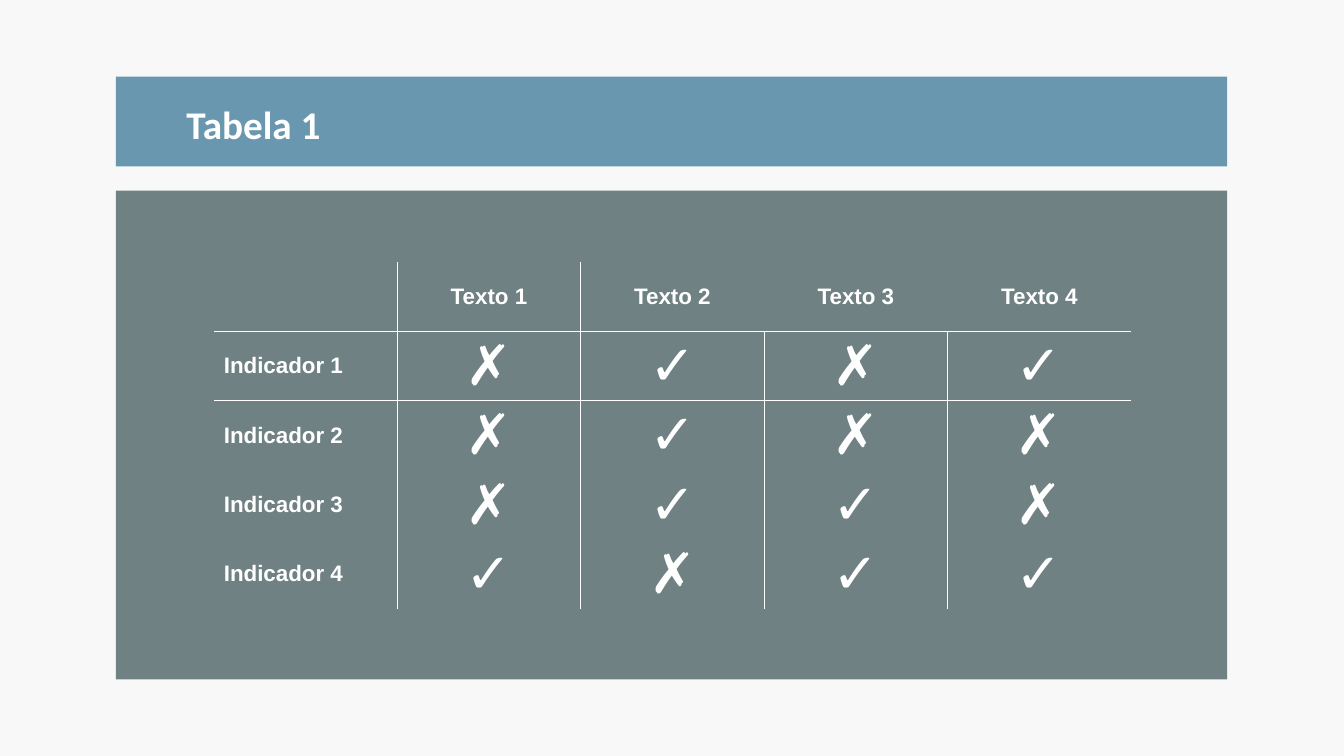
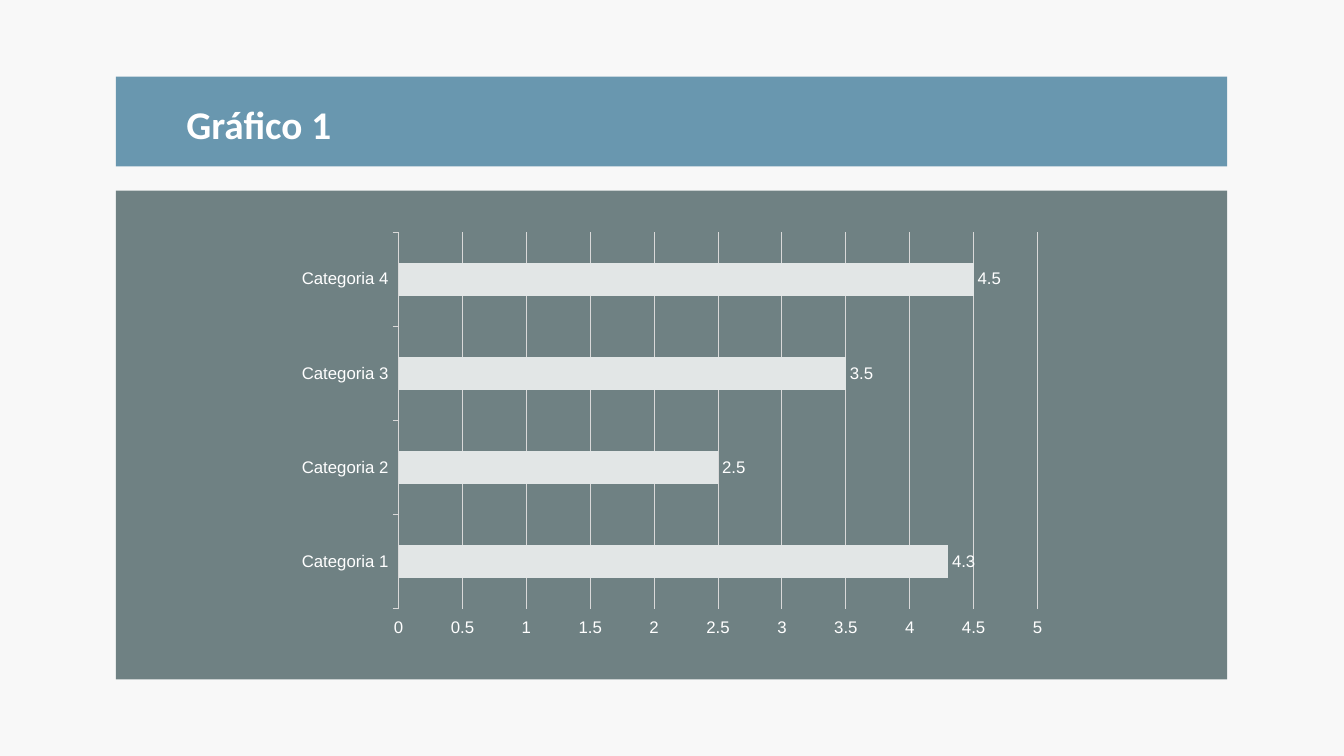
"""Build a two-slide deck with a check table and a bar chart."""
from dataclasses import dataclass

from lxml.etree import SubElement
from pptx import Presentation
from pptx.chart.data import CategoryChartData as ChartData
from pptx.dml.color import RGBColor as RGB
from pptx.enum.chart import XL_CHART_TYPE as Kind, XL_LABEL_POSITION as Spot
from pptx.enum.chart import XL_TICK_MARK as Tick
from pptx.enum.shapes import MSO_SHAPE as Shape
from pptx.enum.text import MSO_ANCHOR as Anchor, PP_ALIGN as Align
from pptx.oxml.ns import qn
from pptx.util import Inches, Pt


@dataclass(frozen=True)
class Theme:
    """Hold the colours, fonts and type sizes of the deck."""
    back: str = "F8F8F8"
    band: str = "6997AF"
    panel: str = "6F8183"
    ink: str = "FFFFFF"
    bar: str = "E2E6E6"
    grid: str = "D9D9D9"
    head: str = "Calibri"
    body: str = "Arial"
    title: int = 28
    cell: int = 16
    mark: int = 40
    axis: int = 12


T = Theme()
MARKS = ["✗✓✗✓", "✗✓✗✗", "✗✓✓✗", "✓✗✓✓"]
SCORES = [4.3, 2.5, 3.5, 4.5]
PLAIN = "{2D5ABB26-0587-4C30-8999-92F81FD0307C}"


def style(font, size, face=T.body, bold=False):
    """Set the face, size, weight and white colour of a font."""
    font.name, font.size, font.bold = face, Pt(size), bold
    font.color.rgb = RGB.from_string(T.ink)


def write(frame, text, align=Align.LEFT, **look):
    """Write one formatted line into a text frame."""
    line = frame.paragraphs[0]
    line.alignment = align
    run = line.add_run()
    run.text = text
    style(run.font, **look)


def paint(fill, tone):
    """Give a fill one solid colour."""
    fill.solid()
    fill.fore_color.rgb = RGB.from_string(tone)


def block(slide, top, high, tone):
    """Add a plain full-width rectangle."""
    box = slide.shapes.add_shape(Shape.RECTANGLE, Inches(1.15), Inches(top),
                                 Inches(11.02), Inches(high))
    box.shadow.inherit = False
    paint(box.fill, tone)
    box.line.fill.background()


def start(deck, title):
    """Add a slide with the panel, the band and its title."""
    slide = deck.slides.add_slide(deck.slide_layouts[6])
    block(slide, 1.89, 4.85, T.panel)
    block(slide, 0.76, 0.89, T.band)
    box = slide.shapes.add_textbox(Inches(1.75), Inches(0.94),
                                   Inches(1.91), Inches(0.57))
    frame = box.text_frame
    frame.word_wrap = True
    frame.vertical_anchor = Anchor.MIDDLE
    write(frame, title, size=T.title, face=T.head, bold=True)
    return slide


def edge(cell, sides):
    """Draw white borders on the given sides of a cell."""
    for side in sides:
        line = SubElement(cell._tc.get_or_add_tcPr(), qn(f"a:ln{side}"), w=str(Pt(1)))
        fill = SubElement(line, qn("a:solidFill"))
        SubElement(fill, qn("a:srgbClr"), val=T.ink)


def rules(row, col, last):
    """Name the bordered sides of a cell in drawing order."""
    left = "L" if col > 0 and (row > 0 or col == 1) else ""
    right = "R" if col < last and (row > 0 or col == 0) else ""
    return left + right + {0: "B", 1: "T"}.get(row, "")


def add_grid(slide, rows):
    """Add the table of heads, row names and marks."""
    size = len(rows)
    shape = slide.shapes.add_table(size, size, Inches(2.12), Inches(2.6),
                                   Inches(9.1), Inches(3.44))
    table = shape.table
    table.horz_banding = table.first_row = False
    table._tbl.tblPr.find(qn("a:tableStyleId")).text = PLAIN
    for r, row in enumerate(rows):
        for c, text in enumerate(row):
            cell = table.cell(r, c)
            cell.vertical_anchor = Anchor.MIDDLE
            edge(cell, rules(r, c, size - 1))
            cell.fill.background()
            mark = r > 0 and c > 0
            if mark:
                cell.margin_left = cell.margin_right = 0
                cell.margin_top = cell.margin_bottom = 0
            if text:
                write(cell.text_frame, text, size=T.mark if mark else T.cell,
                      bold=not mark, align=Align.CENTER if c else Align.LEFT)


def rule(line):
    """Give a chart line its thin grey look."""
    line.width = Pt(0.75)
    line.color.rgb = RGB.from_string(T.grid)


def add_bars(slide, names, vals):
    """Add the bar chart with value labels."""
    data = ChartData()
    data.categories = names
    data.add_series("Series 1", vals)
    chart = slide.shapes.add_chart(Kind.BAR_CLUSTERED, Inches(2.84), Inches(2.22),
                                   Inches(7.65), Inches(4.18), data).chart
    chart.has_legend = chart.has_title = False
    style(chart.font, T.axis)
    plot = chart.plots[0]
    plot.gap_width = 182
    plot.vary_by_categories = False
    paint(plot.series[0].format.fill, T.bar)
    plot.has_data_labels = True
    tags = plot.data_labels
    tags.show_value = True
    tags.position = Spot.OUTSIDE_END
    style(tags.font, T.axis)
    cats, nums = chart.category_axis, chart.value_axis
    for axis in (cats, nums):
        axis.major_tick_mark = Tick.OUTSIDE
        axis.minor_tick_mark = Tick.NONE
        style(axis.tick_labels.font, T.axis)
    rule(cats.format.line)
    nums.format.line.fill.background()
    nums.minimum_scale, nums.maximum_scale, nums.major_unit = 0, 5, 0.5
    nums.has_major_gridlines = True
    rule(nums.major_gridlines.format.line)


def main():
    """Build and save the deck."""
    deck = Presentation()
    deck.slide_width, deck.slide_height = Inches(13.33), Inches(7.5)
    paint(deck.slide_master.background.fill, T.back)
    heads = [""] + [f"Texto {n}" for n in range(1, 5)]
    rows = [[f"Indicador {n}", *marks] for n, marks in enumerate(MARKS, 1)]
    add_grid(start(deck, "Tabela 1"), [heads, *rows])
    names = [f"Categoria {n}" for n in range(1, 5)]
    add_bars(start(deck, "Gráfico 1"), names, SCORES)
    deck.save("out.pptx")


if __name__ == "__main__":
    main()
